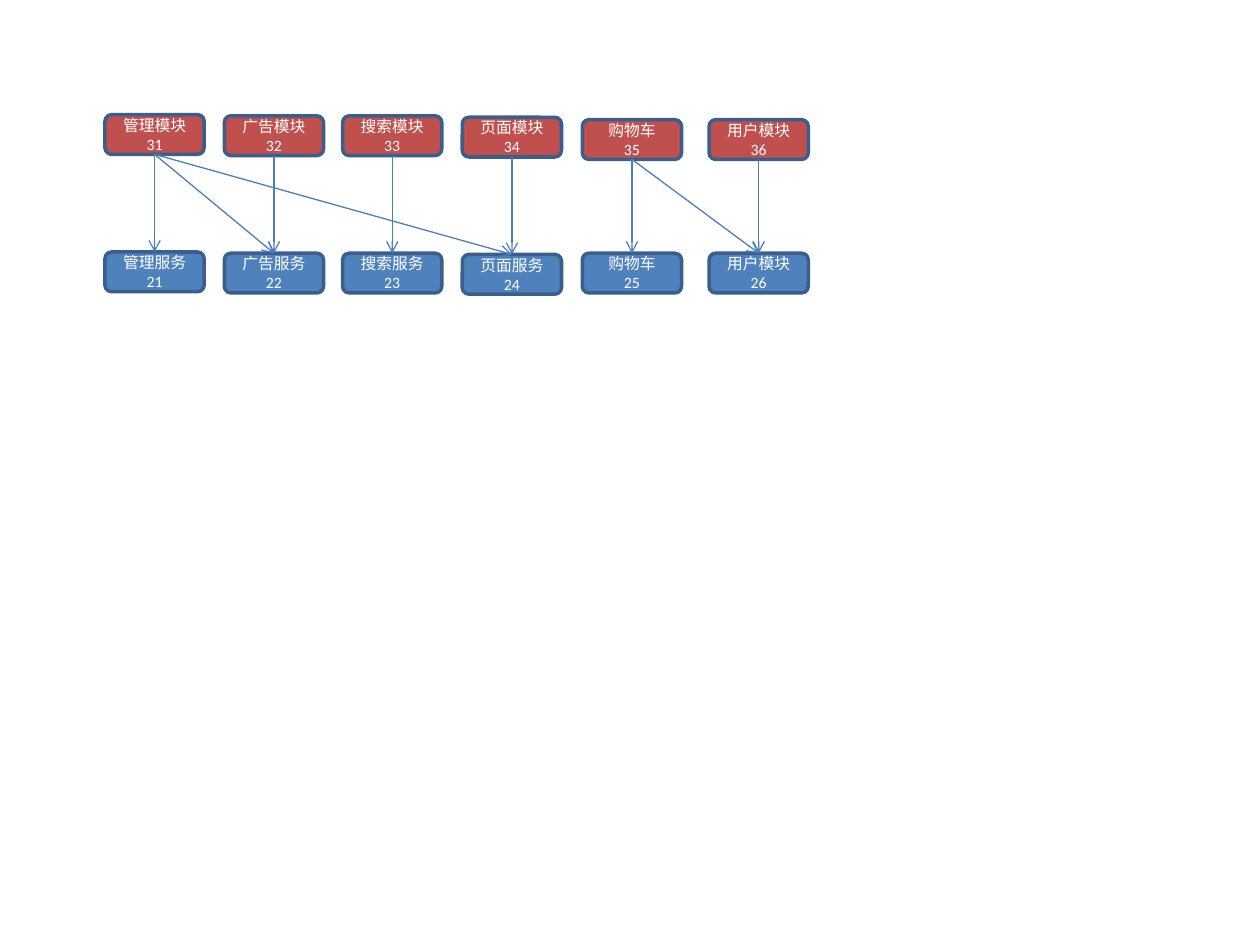
from lxml import etree
from pptx import Presentation
from pptx.dml.color import RGBColor
from pptx.enum.shapes import MSO_CONNECTOR, MSO_SHAPE
from pptx.enum.text import MSO_ANCHOR, PP_ALIGN
from pptx.oxml.ns import qn
from pptx.util import Pt

ROUND = MSO_SHAPE.ROUNDED_RECTANGLE
LINE = MSO_CONNECTOR.STRAIGHT
MIDDLE = MSO_ANCHOR.MIDDLE
CENTER = PP_ALIGN.CENTER

RED = RGBColor(0xC0, 0x50, 0x4D)
BLUE = RGBColor(0x4F, 0x81, 0xBD)
EDGE = RGBColor(0x3A, 0x5F, 0x8C)
WIRE = RGBColor(0x4B, 0x7E, 0xBC)
WHITE = RGBColor(0xFF, 0xFF, 0xFF)

WIDE, HIGH = 56.7, 22.7
TOP, BOTTOM = 0, 2

# left, module top, module text, service top, service text
COLUMNS = [
    (60, 65.5, "管理模块31", 144, "管理服务21"),
    (128.2, 66.2, "广告模块32", 144.7, "广告服务22"),
    (195.8, 66.2, "搜索模块33", 144.7, "搜索服务23"),
    (264.2, 67, "页面模块34", 145.4, "页面服务24"),
    (332.8, 68.4, "购物车\n35", 144.7, "购物车\n25"),
    (405.2, 68.4, "用户模块36", 144.7, "用户模块\n26"),
]
CALLS = [(0, 0), (0, 1), (0, 3), (1, 1), (2, 2), (3, 3), (4, 4), (5, 5), (4, 5)]


def add_box(slide, left, top, text, color):
    box = slide.shapes.add_shape(ROUND, Pt(left), Pt(top), Pt(WIDE), Pt(HIGH))
    box.shadow.inherit = False
    box.fill.solid()
    box.fill.fore_color.rgb = color
    box.line.color.rgb = EDGE
    box.line.width = Pt(2)
    frame = box.text_frame
    frame.text = text
    frame.word_wrap = True
    frame.vertical_anchor = MIDDLE
    for para in frame.paragraphs:
        para.alignment = CENTER
        for run in para.runs:
            run.font.name = "Calibri"
            run.font.size = Pt(9)
            run.font.color.rgb = WHITE
    return box


def add_arrow(slide, start, end):
    wire = slide.shapes.add_connector(LINE, 0, 0, 0, 0)
    wire.begin_connect(start, BOTTOM)
    wire.end_connect(end, TOP)
    wire.line.color.rgb = WIRE
    wire.line.width = Pt(0.75)
    etree.SubElement(wire.line._get_or_add_ln(), qn("a:tailEnd"), type="arrow")
    etree.SubElement(wire._element.spPr, qn("a:effectLst"))


def main():
    deck = Presentation()
    deck.slide_width, deck.slide_height = Pt(720), Pt(540)
    slide = deck.slides.add_slide(deck.slide_layouts[6])
    pairs = [
        (add_box(slide, left, high, module, RED),
         add_box(slide, left, low, service, BLUE))
        for left, high, module, low, service in COLUMNS
    ]
    for start, end in CALLS:
        add_arrow(slide, pairs[start][0], pairs[end][1])
    deck.save("out.pptx")


if __name__ == "__main__":
    main()
